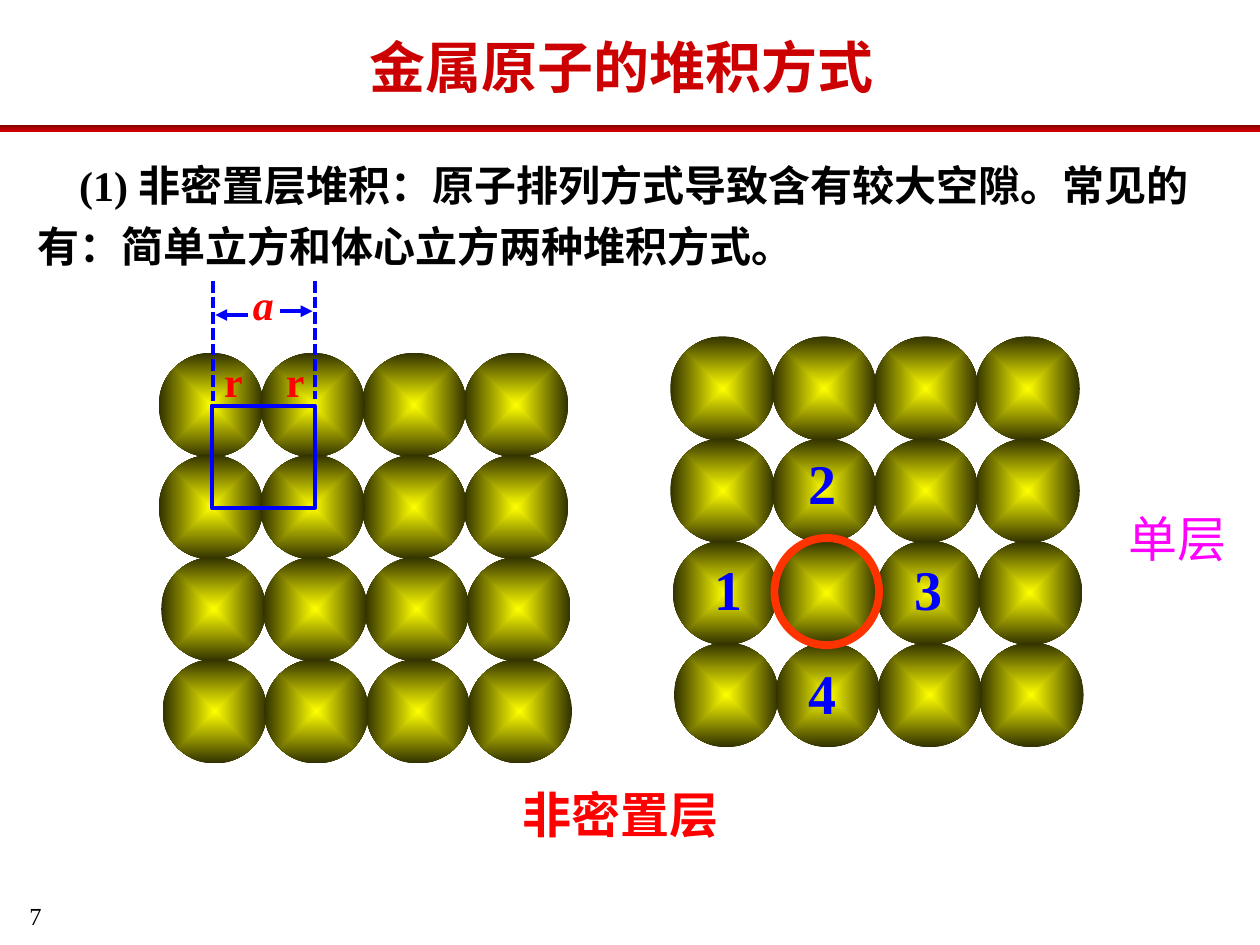
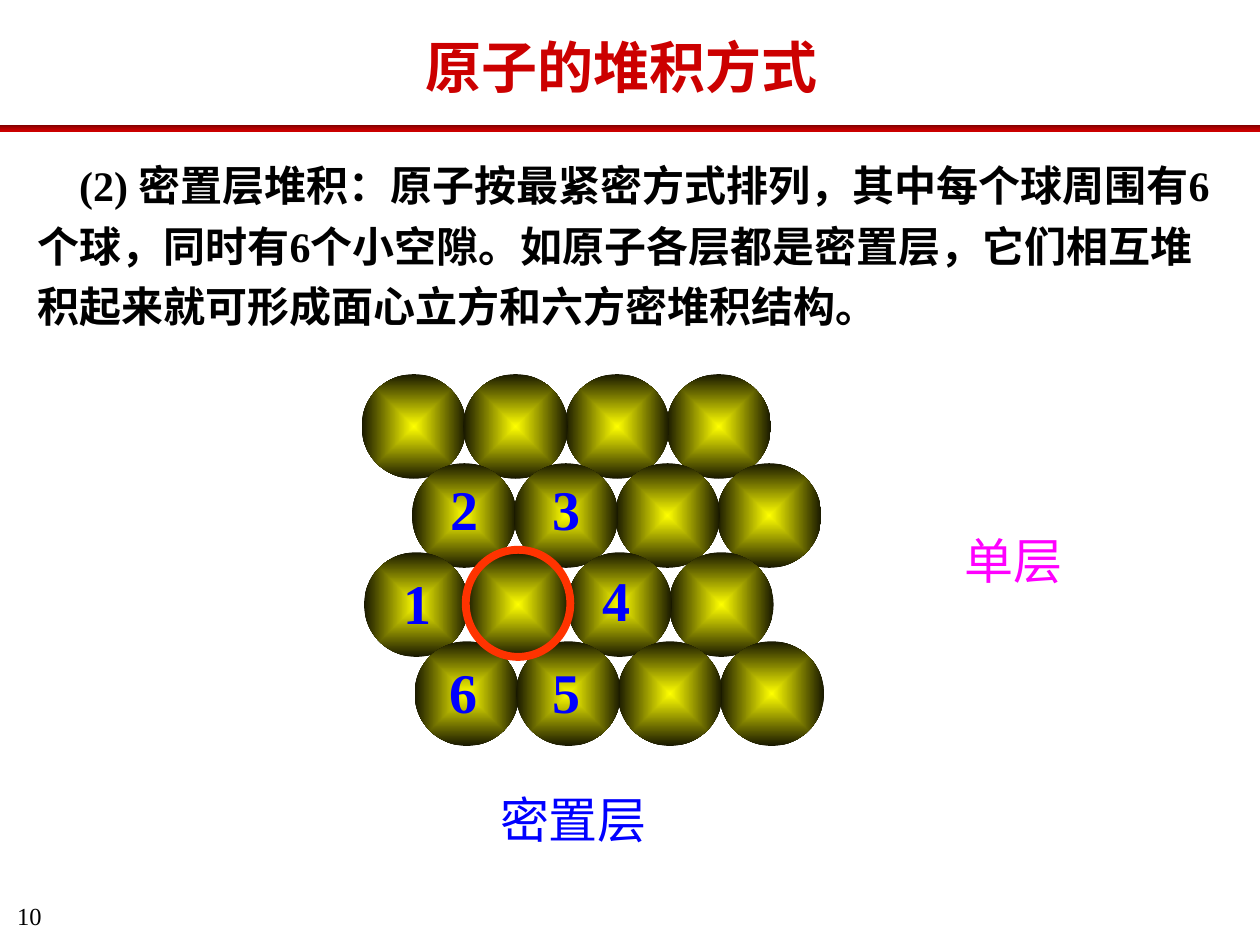
from pptx import Presentation
from pptx.dml.color import RGBColor
from pptx.enum import dml, shapes, text
from pptx.oxml import parse_xml
from pptx.oxml.ns import nsdecls, qn
from pptx.util import Inches, Pt

FONT = "Times New Roman"
BLACK, TITLE_RED, RED, BLUE, MAGENTA, RING = (
    "000000", "CC0000", "FF0000", "0000FF", "FF00FF", "FF3300")
BAND_STOPS = [(0, "790000"), (50, "AC0000"), (100, "CC0000")]

ATOM = 0.83
COLUMN_PITCH = 2.42 / 3
COLUMN_ORDER = (0, 3, 2, 1)  # back to front
SQUARE_SHIFTS = (0, 0, 0.02, 0.03)
CLOSE_SHIFTS = (0, 0.4, 0.02, 0.42)
RINGED_ROW, RINGED_COLUMN = 2, 1

SLIDES = [
    dict(
        number="7",
        title="金属原子的堆积方式",
        body="(1) 非密置层堆积：原子排列方式导致含有较大空隙。常见的有：简单立方和体心立方两种堆积方式。",
        body_height=1.02,
        caption=("非密置层", 4.05, 6.18, 1.78, RED, True),
        layer_at=(8.86, 3.99),
        rim="313100",
        row_pitch=0.81,
        row_shifts=SQUARE_SHIFTS,
        lattices=[(1.26, 2.8), (5.32, 2.67)],
        neighbours=[("1", 5.57, 4.35), ("2", 6.32, 3.51),
                    ("3", 7.16, 4.35), ("4", 6.32, 5.18)],
        cell=dict(
            at=(1.68, 3.22, 0.82, 0.81),
            guides=[(1.69, 2.23, 1.69, 3.18), (2.5, 2.23, 2.5, 3.17)],
            arrows=[(2.22, 2.47, 2.48, 2.47), (1.97, 2.5, 1.71, 2.5)],
            labels=[("r", 1.68, 2.77, 0.35, False), ("r", 2.17, 2.77, 0.35, False),
                    ("a", 1.91, 2.16, 0.37, True)],
        ),
    ),
    dict(
        number="10",
        title="原子的堆积方式",
        body="(2) 密置层堆积：原子按最紧密方式排列，其中每个球周围有6个球，同时有6个小空隙。"
             "如原子各层都是密置层，它们相互堆积起来就可形成面心立方和六方密堆积结构。",
        body_height=1.51,
        caption=("密置层", 3.87, 6.22, 1.38, BLUE, False),
        layer_at=(7.56, 4.16),
        rim="181800",
        row_pitch=2.12 / 3,
        row_shifts=CLOSE_SHIFTS,
        lattices=[(2.87, 2.97)],
        neighbours=[("1", 3.1, 4.46), ("2", 3.48, 3.72), ("3", 4.29, 3.72),
                    ("4", 4.68, 4.44), ("5", 4.29, 5.17), ("6", 3.47, 5.17)],
        cell=None,
    ),
]


def rgb(color):
    return RGBColor.from_string(color)


def add_text(slide, words, at, size, color, bold=False, italic=False,
             align=text.PP_ALIGN.LEFT, wrap=True):
    box = slide.shapes.add_textbox(*map(Inches, at))
    frame = box.text_frame
    frame.text = words
    frame.word_wrap = wrap
    frame.auto_size = text.MSO_AUTO_SIZE.SHAPE_TO_FIT_TEXT
    paragraph = frame.paragraphs[0]
    paragraph.alignment = align
    font = paragraph.runs[0].font
    font.name, font.size, font.bold, font.italic = FONT, Pt(size), bold, italic
    font.color.rgb = rgb(color)
    return frame


def add_plain_shape(parent, kind, at):
    """Add a preset shape with no shadow, fill or line."""
    shape = parent.shapes.add_shape(kind, *map(Inches, at))
    shape.shadow.inherit = False
    shape.fill.background()
    shape.line.fill.background()
    return shape


def fill_gradient(shape, stops, direction):
    stop_xml = "".join(f'<a:gs pos="{pos * 1000}"><a:srgbClr val="{color}"/></a:gs>'
                       for pos, color in stops)
    gradient = parse_xml(f'<a:gradFill {nsdecls("a")} rotWithShape="1">'
                         f'<a:gsLst>{stop_xml}</a:gsLst>{direction}</a:gradFill>')
    properties = shape._element.spPr
    properties.replace(properties.find(qn("a:noFill")), gradient)


def set_line(shape, color, width):
    shape.line.color.rgb = rgb(color)
    shape.line.width = Pt(width)


def add_line(slide, ends, dashed=False, arrow=False):
    line = slide.shapes.add_connector(shapes.MSO_CONNECTOR.STRAIGHT, *map(Inches, ends))
    set_line(line, BLUE, 2.25)
    if dashed:
        line.line.dash_style = dml.MSO_LINE.SQUARE_DOT
    properties = line._element.spPr
    if arrow:
        properties.find(qn("a:ln")).append(
            parse_xml(f'<a:tailEnd {nsdecls("a")} type="triangle"/>'))
    properties.append(parse_xml(f'<a:effectLst {nsdecls("a")}/>'))


def add_frame(slide, content):
    """Add the page number, title, band and body text."""
    number = add_text(slide, content["number"], (0.04, 7.15, 0.29, 0.3), 14, BLACK,
                      align=text.PP_ALIGN.RIGHT)
    number.auto_size = text.MSO_AUTO_SIZE.NONE
    number.margin_left = number.margin_right = number.margin_top = number.margin_bottom = 0

    body = add_text(slide, content["body"], (0.2, 1.14, 9.61, content["body_height"]),
                    24, BLACK, bold=True)
    paragraph = body.paragraphs[0]
    paragraph.line_spacing = 1.2
    paragraph._p.get_or_add_pPr().set("indent", str(Inches(0.33)))

    add_text(slide, content["title"], (2.32, 0.21, 5.23, 0.64), 32, TITLE_RED,
             bold=True, align=text.PP_ALIGN.CENTER)
    band = add_plain_shape(slide, shapes.MSO_SHAPE.RECTANGLE, (0, 0.99, 10, 0.05))
    fill_gradient(band, BAND_STOPS, '<a:lin ang="5400000" scaled="1"/>')


def add_lattice(slide, content, left, top):
    group = slide.shapes.add_group_shape()
    for row, shift in enumerate(content["row_shifts"]):
        for column in COLUMN_ORDER:
            atom = add_plain_shape(group, shapes.MSO_SHAPE.OVAL, (
                left + shift + column * COLUMN_PITCH,
                top + row * content["row_pitch"], ATOM, ATOM))
            fill_gradient(atom, [(0, "FFFF00"), (100, content["rim"])],
                          '<a:path path="shape"><a:fillToRect l="50000" t="50000" '
                          'r="50000" b="50000"/></a:path>')


def add_unit_cell(slide, cell):
    square = add_plain_shape(slide, shapes.MSO_SHAPE.RECTANGLE, cell["at"])
    set_line(square, BLUE, 2.25)
    for ends in cell["guides"]:
        add_line(slide, ends, dashed=True)
    for words, left, top, width, italic in cell["labels"]:
        add_text(slide, words, (left, top, width, 0.5), 24, RED,
                 bold=True, italic=italic, wrap=False)
    for ends in cell["arrows"]:
        add_line(slide, ends, arrow=True)


def add_neighbours(slide, content):
    """Ring the central atom of the last lattice and number those around it."""
    left, top = content["lattices"][-1]
    ring = add_plain_shape(slide, shapes.MSO_SHAPE.OVAL, (
        left + content["row_shifts"][RINGED_ROW] + RINGED_COLUMN * COLUMN_PITCH,
        top + RINGED_ROW * content["row_pitch"] - 0.02, ATOM, 0.85))
    set_line(ring, RING, 4.5)
    for digit, digit_left, digit_top in content["neighbours"]:
        add_text(slide, digit, (digit_left, digit_top, 0.42, 0.63), 32, BLUE, bold=True)


def build_slide(deck, content):
    slide = deck.slides.add_slide(deck.slide_layouts[6])
    add_frame(slide, content)
    words, left, top, width, color, bold = content["caption"]
    add_text(slide, words, (left, top, width, 0.57), 28, color, bold=bold, wrap=False)
    for left, top in content["lattices"]:
        add_lattice(slide, content, left, top)
    if content["cell"]:
        add_unit_cell(slide, content["cell"])
    add_neighbours(slide, content)
    add_text(slide, "单层", (*content["layer_at"], 0.99, 0.57), 28, MAGENTA, wrap=False)


def main():
    deck = Presentation()
    deck.slide_width, deck.slide_height = Inches(10), Inches(7.5)
    for content in SLIDES:
        build_slide(deck, content)
    deck.save("out.pptx")


if __name__ == "__main__":
    main()
